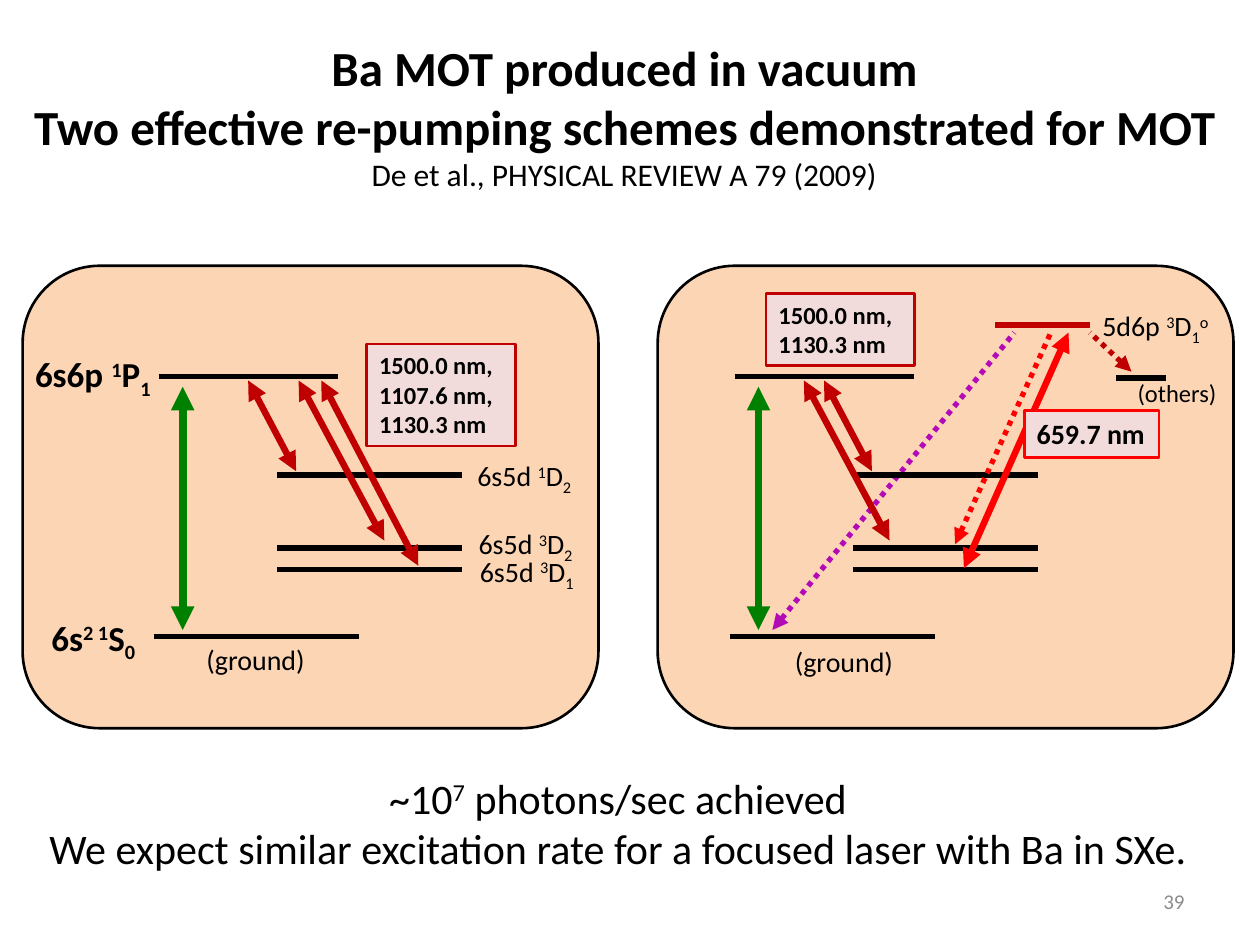
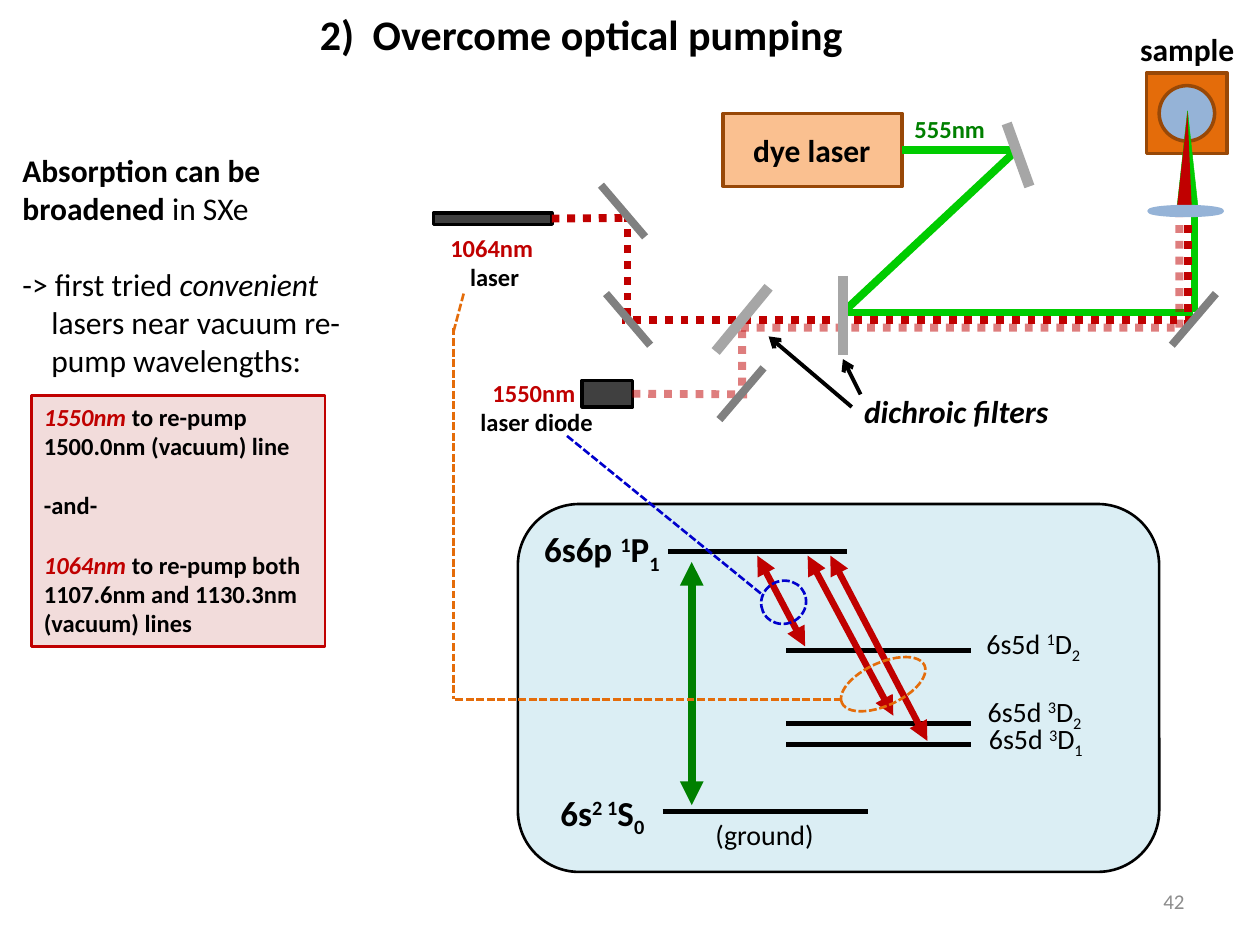
import dataclasses
import typing

import pptx
import pptx.dml.color
import pptx.enum.dml
import pptx.enum.shapes
import pptx.enum.text
import pptx.oxml.ns
import pptx.oxml.xmlchemy
import pptx.util
from lxml import etree

SHAPE = pptx.enum.shapes.MSO_SHAPE
ALIGN = pptx.enum.text.PP_ALIGN
ANCHOR = pptx.enum.text.MSO_ANCHOR
FIT = pptx.enum.text.MSO_AUTO_SIZE
DASH = pptx.enum.dml.MSO_LINE
WIDE, HIGH = pptx.util.Inches(10), pptx.util.Inches(7.5)
COLS = 100  # the grid is 100 columns by 75 rows of square cells


# Theme: colours and type sizes
@dataclasses.dataclass(frozen=True)
class Theme:
    font: str = "Calibri"
    black: str = "000000"
    gray: str = "8C8C8C"
    steel: str = "808080"
    silver: str = "A6A6A6"
    coal: str = "404040"
    red: str = "C00000"
    bright: str = "FF0000"
    green: str = "008000"
    lime: str = "00CC00"
    purple: str = "B309B7"
    navy: str = "0000CC"
    orange: str = "E46C0A"
    brown: str = "984807"
    blue: str = "95B3D7"
    peach: str = "FCD5B5"
    sand: str = "FAC090"
    pink: str = "F2DCDB"
    ice: str = "DBEEF4"
    title: int = 28
    head: int = 24
    state: int = 20
    body: int = 18
    term: int = 16
    note: int = 14
    foot: int = 12


T = Theme()


# Parts that repeat; places and lengths are grid cells
class Pen(typing.NamedTuple):
    color: str
    width: float
    dash: typing.Any = None
    head: str = ""
    tail: str = ""
    alpha: int = 100


class Wire(typing.NamedTuple):
    pen: Pen
    x1: float
    y1: float
    x2: float
    y2: float


class Block(typing.NamedTuple):
    kind: typing.Any
    x: float
    y: float
    w: float
    h: float
    fill: str = ""
    pen: typing.Optional[Pen] = None
    turn: float = 0


class Run(typing.NamedTuple):
    text: str
    base: int = 0
    bold: typing.Optional[bool] = None
    slant: typing.Optional[bool] = None
    color: str = ""


class Line(typing.NamedTuple):
    runs: tuple
    size: int = 0
    gap: float = 0
    left: float = 0
    hang: float = 0


@dataclasses.dataclass
class Text:
    x: float
    y: float
    w: float
    h: float
    lines: list
    size: int = T.note
    bold: bool = False
    slant: bool = False
    color: str = T.black
    align: typing.Any = ALIGN.LEFT
    wrap: bool = False


class Pump(typing.NamedTuple):
    x: float
    run: float
    drop: float


# Pens
LEVEL = Pen(T.black, 3)
EDGE = Pen(T.black, 1.5)
FRAME = Pen(T.red, 1.5)
BROWN = Pen(T.brown, 2)
BLACK = Pen(T.black, 2)
MAIN = Pen(T.green, 4.5, None, "triangle", "triangle")
REPUMP = Pen(T.red, 3.7, None, "triangle", "triangle")
DRIVE = REPUMP._replace(color=T.bright)
DECAY = Pen(T.red, 3, DASH.ROUND_DOT, "triangle")
LIME = Pen(T.lime, 4.5)
BEAM = Pen(T.red, 4.5, DASH.ROUND_DOT)
FAINT = BEAM._replace(alpha=51)
MIRROR = Pen(T.steel, 4.5)
FILTER = Pen(T.silver, 6)
POINT = Pen(T.black, 2.25, None, "", "arrow")
LINK = Pen(T.orange, 1.5, DASH.SQUARE_DOT)
LINK2 = LINK._replace(color=T.navy)

# Re-pump arrows, each by its upper end and its fall
TO_1D2, TO_3D2, TO_3D1 = Pump(19.7, 3.8, 7.2), Pump(23.7, 6.8, 12.7), Pump(25.5, 7.7, 14.7)


def cell(count: float) -> int:
    return pptx.util.Emu(round(count * WIDE / COLS))


def rgb(code: str) -> pptx.dml.color.RGBColor:
    return pptx.dml.color.RGBColor.from_string(code)


def add(root: typing.Any, tag: str, **atts: str) -> None:
    etree.SubElement(root, pptx.oxml.ns.qn(tag), atts)


def ink(line: typing.Any, pen: Pen) -> None:
    line.color.rgb = rgb(pen.color)
    line.width = pptx.util.Pt(pen.width)
    if pen.dash:
        line.dash_style = pen.dash
    root = line._get_or_add_ln()
    if pen.alpha < 100:
        tone = root.find(".//" + pptx.oxml.ns.qn("a:srgbClr"))
        add(tone, "a:alpha", val=str(pen.alpha * 1000))
    for tag, kind in (("a:headEnd", pen.head), ("a:tailEnd", pen.tail)):
        if kind:
            add(root, tag, type=kind)


def draw(slide: typing.Any, wire: Wire) -> typing.Any:
    ends = [cell(n) for n in wire[1:]]
    line = slide.shapes.add_connector(pptx.enum.shapes.MSO_CONNECTOR.STRAIGHT, *ends)
    ink(line.line, wire.pen)
    add(line._element.spPr, "a:effectLst")
    return line


def place(slide: typing.Any, block: Block) -> typing.Any:
    shape = slide.shapes.add_shape(block.kind, *[cell(n) for n in block[1:5]])
    shape.shadow.inherit = False
    shape.rotation = block.turn
    if block.fill:
        shape.fill.solid()
        shape.fill.fore_color.rgb = rgb(block.fill)
    else:
        shape.fill.background()
    if block.pen:
        ink(shape.line, block.pen)
    else:
        shape.line.fill.background()
    return shape


def write(frame: typing.Any, text: Text) -> None:
    frame.word_wrap = text.wrap
    frame.auto_size = FIT.SHAPE_TO_FIT_TEXT
    frame.vertical_anchor = ANCHOR.TOP
    for i, item in enumerate(text.lines):
        line = Line((item,)) if isinstance(item, str) else item
        para = frame.paragraphs[0] if i == 0 else frame.add_paragraph()
        para.alignment = text.align
        if line.left:
            prop = para._p.get_or_add_pPr()
            prop.set("marL", str(cell(line.left)))
            prop.set("indent", str(-cell(line.hang)))
        if line.gap:
            para.space_before = pptx.util.Pt(line.gap)
        for part in line.runs:
            part = Run(part) if isinstance(part, str) else part
            run = para.add_run()
            run.text = part.text
            font = run.font
            font.name = T.font
            font.size = pptx.util.Pt(line.size or text.size)
            font.bold = text.bold if part.bold is None else part.bold
            font.italic = text.slant if part.slant is None else part.slant
            font.color.rgb = rgb(part.color or text.color)
            if part.base:
                run._r.get_or_add_rPr().set("baseline", str(part.base * 1000))


def label(slide: typing.Any, text: Text) -> typing.Any:
    box = slide.shapes.add_textbox(*[cell(n) for n in (text.x, text.y, text.w, text.h)])
    write(box.text_frame, text)
    return box


def card(slide: typing.Any, text: Text, pen: Pen = FRAME) -> None:
    block = Block(SHAPE.RECTANGLE, text.x, text.y, text.w, text.h, T.pink, pen)
    write(place(slide, block).text_frame, text)


def term(shell: str, up: str, sign: str, down: str) -> Line:
    return Line((shell, Run(up, 30), sign, Run(down, -25)))


def ground(slide: typing.Any, x: float, y: float) -> None:
    label(slide, Text(x, y, 9.9, 3.7, ["(ground)"], T.term))


def ladder(slide: typing.Any, dx: float, dy: float, pumps: list) -> None:
    """Energy levels, main line and re-pump arrows."""
    levels = [(22, 36.7, 37.7), (22, 36.7, 43.5), (22, 36.7, 45.2),
              (12.2, 28.5, 50.5), (12.6, 26.8, 29.9)]
    wires = [Wire(LEVEL, x1, y, x2, y) for x1, x2, y in levels]
    wires.append(Wire(MAIN, 14.5, 50, 14.5, 30.7))
    wires += [Wire(REPUMP, p.x + p.run, 30.2 + p.drop, p.x, 30.2) for p in pumps]
    for pen, x1, y1, x2, y2 in wires:
        draw(slide, Wire(pen, x1 + dx, y1 + dy, x2 + dx, y2 + dy))


def terms(slide: typing.Any, dx: float, dy: float, lift: float) -> None:
    """State names; the ones on the right sit higher by the lift."""
    for x, y, w, line in ((3.1, 48.4, 9.4, term("6s", "2 1", "S", "0")),
                          (1.8, 27.5, 11.4, term("6s6p ", "1", "P", "1"))):
        label(slide, Text(x + dx, y + dy, w, 4.4, [line], T.state, True))
    for x, y, up, down in ((36.9, 35.9, "1", "2"), (37.1, 43.5, "3", "1"), (37, 41.3, "3", "2")):
        line = term("6s5d ", up, "D", down)
        label(slide, Text(x + dx, y + dy - lift, 9.8, 3.7, [line], T.term))


def footer(slide: typing.Any, page: str) -> None:
    text = Text(71.7, 69.5, 23.3, 4, [page], T.foot, color=T.gray, align=ALIGN.RIGHT, wrap=True)
    frame = label(slide, text).text_frame
    frame.auto_size = FIT.NONE
    frame.vertical_anchor = ANCHOR.MIDDLE


def schemes(slide: typing.Any) -> None:
    shift = 45.7
    for x in (1.8, 52.2):
        place(slide, Block(SHAPE.ROUNDED_RECTANGLE, x, 21.1, 45.7, 36.7, T.peach, EDGE))
    # Left scheme
    ladder(slide, 0, 0, [TO_1D2, TO_3D2, TO_3D1])
    terms(slide, 0, 0, 0)
    ground(slide, 15.4, 50.5)
    card(slide, Text(29.1, 27.3, 11.8, 8.1, ["1500.0 nm,", "1107.6 nm,", "1130.3 nm"],
                     bold=True, wrap=True))
    # Right scheme
    draw(slide, Wire(DECAY._replace(color=T.purple), 61.3, 50, 80.5, 26.4))
    ladder(slide, shift, 0, [TO_1D2, TO_3D2._replace(x=18.1)])
    for wire in (Wire(LEVEL._replace(color=T.red), 79, 25.8, 86.5, 25.8),
                 Wire(DRIVE, 76.5, 45.1, 84.8, 26.4),
                 Wire(DECAY._replace(color=T.bright), 75.8, 43.2, 83.4, 26.4),
                 Wire(DECAY, 89.8, 29.5, 86.5, 26.4),
                 Wire(LEVEL, 88.6, 30, 92.5, 30)):
        draw(slide, wire)
    ground(slide, 62.1, 50.7)
    card(slide, Text(81.3, 32.6, 10.7, 3.7, ["659.7 nm"], T.term, True),
         FRAME._replace(color=T.bright))
    card(slide, Text(60.8, 23.3, 11.8, 5.7, ["1500.0 nm,", "1130.3 nm"], bold=True, wrap=True))
    upper = term("5d6p ", "3", "D", "1")
    label(slide, Text(86.5, 24, 10.8, 3.7, [Line(upper.runs + (Run("o", 30),))], T.term))
    label(slide, Text(89.3, 29.5, 8.3, 3.4, ["(others)"]))
    # Title and result
    label(slide, Text(0.8, 2.5, 97.5, 13.5, [
        "Ba MOT produced in vacuum",
        "Two effective re-pumping schemes demonstrated for MOT",
        Line((Run("De et al., PHYSICAL REVIEW A 79 (2009)", bold=False),), T.body),
    ], T.title, True, align=ALIGN.CENTER))
    label(slide, Text(2.5, 60.8, 93.1, 9.1, [
        Line(("~10", Run("7", 30), " photons/sec achieved")),
        "We expect similar excitation rate for a focused laser with Ba in SXe.",
    ], T.head, align=ALIGN.CENTER))


def setup(slide: typing.Any) -> None:
    place(slide, Block(SHAPE.ROUNDED_RECTANGLE, 41.1, 40, 50.9, 29.2, T.ice, EDGE))
    # Lasers and sample
    dye, diode, laser, *_ = [place(slide, block) for block in (
        Block(SHAPE.RECTANGLE, 57.4, 9, 14.2, 5.8, T.sand, BROWN),
        Block(SHAPE.RECTANGLE, 46.2, 30.2, 4, 2.1, T.coal, BLACK),
        Block(SHAPE.RECTANGLE, 34.4, 16.9, 9.4, 0.9, T.coal, BLACK),
        Block(SHAPE.RECTANGLE, 91, 5.8, 6.4, 6.4, T.orange, BROWN),
        Block(SHAPE.OVAL, 92, 6.8, 4.4, 4.4, T.blue, BROWN))]
    # Beams, filters and mirrors
    draw(slide, Wire(LIME, 71.6, 11.9, 80.3, 11.9)).begin_connect(dye, 3)
    draw(slide, Wire(FAINT, 50.2, 31.3, 59.3, 31.3)).begin_connect(diode, 3)
    draw(slide, Wire(BEAM, 49.4, 17.3, 43.8, 17.3)).end_connect(laser, 3)
    for wire in (Wire(LIME, 66.9, 24.8, 80.7, 11.9), Wire(BEAM, 94.7, 25.4, 49.4, 25.4),
                 Wire(LIME, 66.9, 24.8, 94.7, 24.8), Wire(FAINT, 58.8, 26, 93.9, 26),
                 Wire(FILTER, 79.9, 9.8, 81.7, 14.8), Wire(FILTER, 66.9, 21.9, 66.9, 28.2),
                 Wire(LIME, 94.8, 16.6, 94.8, 24.8), Wire(FAINT, 93.6, 26, 93.6, 16.6)):
        draw(slide, wire)
    for block in (Block(SHAPE.ISOSCELES_TRIANGLE, 93.4, 8.8, 1.7, 7.8, T.lime, Pen(T.lime, 0.25)),
                  Block(SHAPE.ISOSCELES_TRIANGLE, 93.6, 8.8, 0.9, 7.9, T.red, turn=3.1),
                  Block(SHAPE.ISOSCELES_TRIANGLE, 93.9, 9, 0.7, 7.8, T.red)):
        place(slide, block)
    for wire in (Wire(BEAM, 94.3, 26, 94.3, 16.6), Wire(MIRROR, 93, 27.4, 96.5, 23.3),
                 Wire(FAINT, 58.9, 30.6, 58.9, 25.6), Wire(MIRROR, 57.1, 33.3, 60.6, 29.2),
                 Wire(FILTER, 61, 22.8, 56.8, 27.9), Wire(BEAM, 49.8, 25.1, 49.8, 17.3),
                 Wire(MIRROR, 47.7, 14.7, 51.2, 18.8), Wire(MIRROR, 48.1, 23.3, 51.6, 27.4),
                 Wire(POINT, 67.6, 32.3, 61, 26.7), Wire(POINT, 68.3, 31.3, 66.9, 28.5)):
        draw(slide, wire)
    place(slide, Block(SHAPE.OVAL, 91.2, 16.4, 5.8, 0.7, T.blue, Pen(T.blue, 2)))
    # Names of the parts
    for text in (Text(58.8, 9.9, 11.4, 4, ["dye laser"], T.body, True),
                 Text(71.6, 8.6, 7.7, 3.4, ["555nm"], bold=True, color=T.green),
                 Text(89.5, 1.9, 9.5, 4, ["sample"], T.body, True),
                 Text(67.6, 30.6, 16.8, 4, ["dichroic filters"], T.body, True, True)):
        label(slide, text)
    for x, y, w, wave, name in ((37.1, 29.5, 11, "1550nm ", "laser diode"),
                                (34.7, 18, 9.1, "1064nm ", "laser")):
        lines = [Line((Run(wave, color=T.red),)), name]
        label(slide, Text(x, y, w, 5.7, lines, bold=True, align=ALIGN.CENTER))
    # Level scheme and its links to the lasers
    ladder(slide, 40.4, 13.9, [TO_1D2, TO_3D2, TO_3D1])
    terms(slide, 40.4, 13.9, 0.6)
    ground(slide, 55.8, 64.4)
    place(slide, Block(SHAPE.OVAL, 66.5, 52.6, 7.2, 3.4, pen=LINK, turn=335.4))
    place(slide, Block(SHAPE.OVAL, 60.4, 46.1, 3.6, 3.4, pen=LINK2, turn=335.4))
    for wire in (Wire(LINK, 36, 26, 36, 55.5), Wire(LINK, 66.8, 55.5, 36, 55.5),
                 Wire(LINK, 36.8, 23.3, 36, 26.3), Wire(LINK2, 45, 34.6, 60.5, 47.2)):
        draw(slide, wire)
    # Title and remarks
    label(slide, Text(24.4, 0.2, 50, 5, [Line(("2)\tOvercome optical pumping",), left=4.2, hang=4.2)],
                      T.head, True, wrap=True))
    label(slide, Text(0.8, 11.5, 31.7, 19.2, [
        Line((Run("Absorption can be broadened", bold=True), " in SXe")),
        Line(("-> first tried ", Run("convenient", slant=True)), gap=22),
        Line(("lasers near vacuum re-",), left=2.3),
        Line(("pump wavelengths:",), left=2.3),
    ], T.body, wrap=True))
    card(slide, Text(2.5, 31.4, 23.3, 19.9, [
        Line((Run("1550nm", slant=True, color=T.red), " to re-pump 1500.0nm (vacuum) line")),
        Line(("-and-",), gap=17),
        Line((Run("1064nm", slant=True, color=T.red), " to re-pump both"), gap=17),
        "1107.6nm and 1130.3nm (vacuum) lines",
    ], bold=True, wrap=True))


def main() -> None:
    deck = pptx.Presentation()
    deck.slide_width, deck.slide_height = WIDE, HIGH
    for build, page in ((schemes, "39"), (setup, "42")):
        slide = deck.slides.add_slide(deck.slide_layouts[6])
        build(slide)
        footer(slide, page)
    deck.save("out.pptx")


if __name__ == "__main__":
    main()
